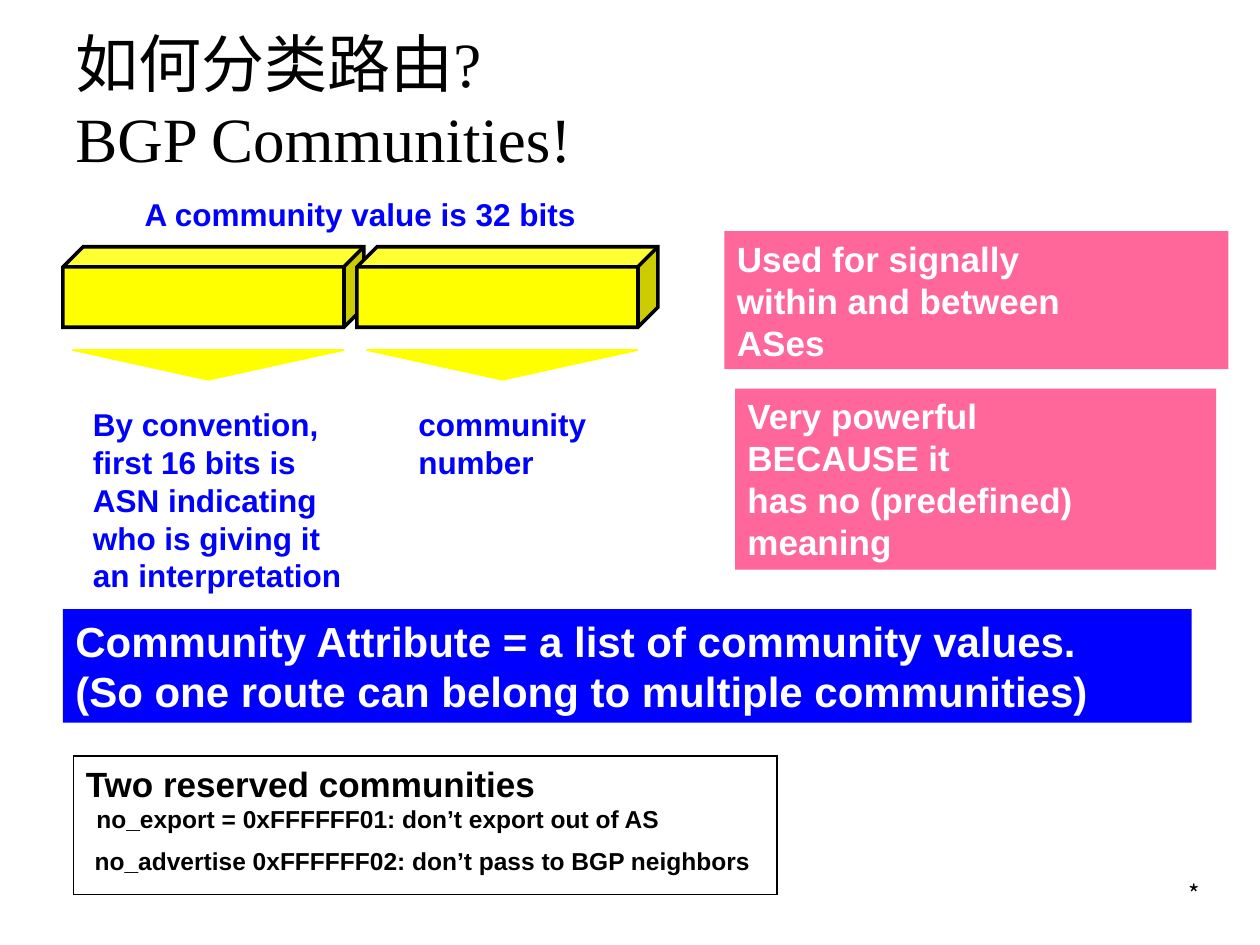
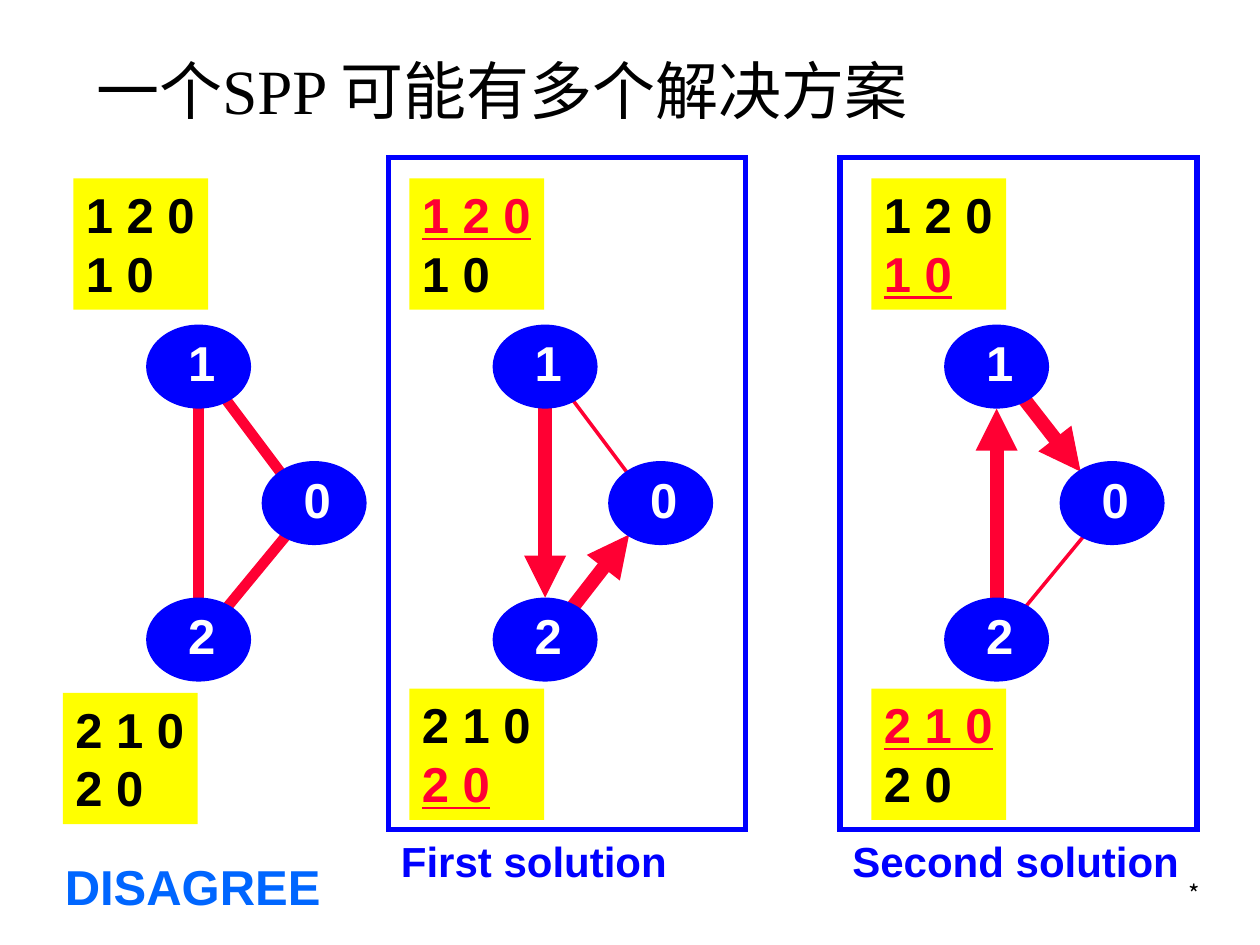
from dataclasses import dataclass

import pptx
import pptx.dml.color
import pptx.enum.shapes
import pptx.enum.text
import pptx.oxml
import pptx.oxml.ns
import pptx.presentation
import pptx.shapes.autoshape
import pptx.slide
import pptx.util

Pt = pptx.util.Pt
SHAPE = pptx.enum.shapes.MSO_SHAPE
ALIGN = pptx.enum.text.PP_ALIGN
ANCHOR = pptx.enum.text.MSO_ANCHOR

BLACK, WHITE, BLUE = "000000", "FFFFFF", "0000FF"
YELLOW, PINK, RED, SKY = "FFFF00", "FF6699", "FF0033", "0066FF"
BODY_FONT, TITLE_FONT, FOOTER_FONT = "Arial", "Times New Roman", "Noto Sans CJK SC"
DRAWING_NS = pptx.oxml.ns.nsdecls("a")

Box = tuple[float, float, float, float]
Point = tuple[float, float]


@dataclass
class Label:
    box: Box
    lines: list[str]
    size: float
    color: str = BLUE
    fill: str | None = None
    outline: str | None = None
    wrap: bool = False
    font: str = BODY_FONT
    bold: bool = True
    align: ALIGN = ALIGN.LEFT
    anchor: ANCHOR = ANCHOR.TOP


@dataclass
class Edge:
    """A link between nodes, relative to the left of node 1; arrows point to its end."""
    start: Point
    end: Point
    width: float
    arrow: bool = False


@dataclass
class Ranking:
    """The paths a node prefers, best first, with the one in use marked."""
    corner: Point
    routes: list[str]
    chosen: int | None = None


@dataclass
class Graph:
    left: float
    edges: list[Edge]
    rankings: list[Ranking]
    frame_left: float | None = None
    caption: str = ""
    caption_width: float = 0


def rgb(color: str) -> pptx.dml.color.RGBColor:
    return pptx.dml.color.RGBColor.from_string(color)


def add_solid(slide: pptx.slide.Slide, kind: SHAPE, box: Box, fill: str | None,
              outline: str | None = None,
              width: float = 1) -> pptx.shapes.autoshape.Shape:
    sp = slide.shapes.add_shape(kind, *map(Pt, box))
    sp.shadow.inherit = False
    if fill:
        sp.fill.solid()
        sp.fill.fore_color.rgb = rgb(fill)
    else:
        sp.fill.background()
    if outline:
        sp.line.color.rgb = rgb(outline)
        sp.line.width = Pt(width)
        sp.line._get_or_add_ln().append(
            pptx.oxml.parse_xml(f'<a:miter {DRAWING_NS} lim="800000"/>'))
    else:
        sp.line.fill.background()
    return sp


def write(sp: pptx.shapes.autoshape.Shape, label: Label) -> None:
    tf = sp.text_frame
    tf.word_wrap = label.wrap
    tf.vertical_anchor = label.anchor
    for i, line in enumerate(label.lines):
        p = tf.paragraphs[0] if i == 0 else tf.add_paragraph()
        p.text = line
        p.alignment = label.align
        p.font.name = label.font
        p.font.size = Pt(label.size)
        p.font.bold = label.bold
        p.font.color.rgb = rgb(label.color)


def add_label(slide: pptx.slide.Slide, label: Label) -> pptx.shapes.autoshape.Shape:
    if label.fill or label.outline:
        sp = add_solid(slide, SHAPE.RECTANGLE, label.box, label.fill, label.outline, 0.75)
    else:
        sp = slide.shapes.add_textbox(*map(Pt, label.box))
    write(sp, label)
    return sp


def add_slide(prs: pptx.presentation.Presentation, title: str,
              title_box: Box) -> pptx.slide.Slide:
    slide = prs.slides.add_slide(prs.slide_layouts[6])
    add_label(slide, Label((651, 499, 42, 24), ["*"], 14, BLACK, wrap=True,
                           font=FOOTER_FONT, bold=False, align=ALIGN.RIGHT))
    add_label(slide, Label(title_box, [title], 36, BLACK, wrap=True, font=TITLE_FONT,
                           bold=False, anchor=ANCHOR.MIDDLE))
    return slide


def add_edge(slide: pptx.slide.Slide, left: float, edge: Edge) -> None:
    (x1, y1), (x2, y2) = edge.start, edge.end
    line = slide.shapes.add_connector(
        pptx.enum.shapes.MSO_CONNECTOR.STRAIGHT,
        Pt(left + x1), Pt(y1), Pt(left + x2), Pt(y2))
    line.line.color.rgb = rgb(RED)
    line.line.width = Pt(edge.width)
    if edge.arrow:
        line.line._get_or_add_ln().append(
            pptx.oxml.parse_xml(f'<a:tailEnd {DRAWING_NS} type="triangle"/>'))
    line._element.spPr.append(pptx.oxml.parse_xml(f'<a:effectLst {DRAWING_NS}/>'))


def add_node(slide: pptx.slide.Slide, name: str, x: float, y: float) -> None:
    box = (x, y, 59, 47)
    sp = add_solid(slide, SHAPE.OVAL, box, BLUE, BLUE)
    write(sp, Label(box, [name], 28, WHITE, align=ALIGN.CENTER, anchor=ANCHOR.MIDDLE))
    tf = sp.text_frame
    tf.margin_left, tf.margin_right = Pt(3.5), Pt(0)
    tf.margin_top, tf.margin_bottom = Pt(0), Pt(5)


def add_ranking(slide: pptx.slide.Slide, ranking: Ranking) -> None:
    sp = add_label(slide, Label((*ranking.corner, 77, 75), ranking.routes, 28, BLACK, YELLOW))
    if ranking.chosen is not None:
        p = sp.text_frame.paragraphs[ranking.chosen]
        p.font.color.rgb = rgb(RED)
        p.font.underline = True


def add_graph(slide: pptx.slide.Slide, graph: Graph) -> None:
    if graph.frame_left is not None:
        add_solid(slide, SHAPE.RECTANGLE, (graph.frame_left, 90, 204, 384), WHITE, BLUE, 3)
        add_label(slide, Label((graph.frame_left, 474, graph.caption_width, 36),
                               [graph.caption], 24))
    for edge in graph.edges:
        add_edge(slide, graph.left, edge)
    for name, dx, y in (("1", 0, 186), ("0", 66, 264), ("2", 0, 342)):
        add_node(slide, name, graph.left + dx, y)
    for ranking in graph.rankings:
        add_ranking(slide, ranking)


def build_communities(prs: pptx.presentation.Presentation) -> None:
    slide = add_slide(prs, "如何分类路由?\nBGP Communities!", (36, 12, 612, 90))
    for half in range(2):
        shift = 168 * half
        add_solid(slide, SHAPE.CUBE, (36 + shift, 141, 172, 46), YELLOW, BLACK, 2)
        pointer = add_solid(slide, SHAPE.ISOSCELES_TRIANGLE,
                            (41.5 + shift, 200, 155, 17), YELLOW, YELLOW)
        pointer.rotation = 180
    labels = [
        Label((75.5, 108, 264, 29), ["A community value is 32 bits"], 18),
        Label((46, 228, 160, 115),
              ["By convention,", "first 16 bits is", "ASN indicating",
               "who is giving it", "an interpretation"], 18),
        Label((232, 228, 114, 50), ["community", "number"], 18),
        Label((420, 222, 275, 103.5),
              ["Very powerful", "BECAUSE it", "has no (predefined) meaning"],
              20, WHITE, PINK, wrap=True),
        Label((36, 348, 645, 65),
              ["Community Attribute = a list of community values.",
               "(So one route can belong to multiple communities)"],
              24, WHITE, BLUE, wrap=True),
        Label((414, 132, 288, 79), ["Used for signally", "within and between", "ASes"],
              20, WHITE, PINK, wrap=True),
        Label((42, 432, 402, 79), ["Two reserved communities"], 20, BLACK,
              outline=BLACK, wrap=True),
        Label((47, 480, 393, 24),
              ["no_advertise 0xFFFFFF02: don’t pass to BGP neighbors"], 14, BLACK),
        Label((48, 456, 432, 24),
              ["no_export = 0xFFFFFF01: don’t export out of AS"], 14, BLACK, wrap=True),
    ]
    for label in labels:
        add_label(slide, label)


def build_solutions(prs: pptx.presentation.Presentation) -> None:
    slide = add_slide(prs, "一个SPP 可能有多个解决方案", (48, 24, 612, 54))
    one_down, two_up = (29.5, 222), (29.5, 353.5)
    one_side, two_side = (35.5, 215.5), (35.5, 359.5)
    zero_top, zero_bottom = (89.5, 287.5), (89.5, 294)
    one_routes, two_routes = ["1 2 0", "1 0"], ["2 1 0", "2 0"]
    graphs = [
        Graph(84,
              [Edge(one_down, two_up, 6), Edge(one_side, zero_top, 6),
               Edge(zero_bottom, two_side, 6)],
              [Ranking((42, 102), one_routes), Ranking((36, 396), two_routes)]),
        Graph(282,
              [Edge(one_down, (29.5, 341.5), 8, True), Edge(one_side, zero_top, 2),
               Edge(two_side, (77.5, 305.5), 8, True)],
              [Ranking((234, 102), one_routes, 0), Ranking((234, 393.5), two_routes, 1)],
              222, "First solution", 170),
        Graph(540,
              [Edge(two_up, (29.5, 233.5), 8, True),
               Edge(one_side, (77.5, 269.5), 8, True), Edge(zero_bottom, two_side, 2)],
              [Ranking((498, 102), one_routes, 1), Ranking((498, 393.5), two_routes, 0)],
              480, "Second solution", 204),
    ]
    for graph in graphs:
        add_graph(slide, graph)
    add_label(slide, Label((30, 486, 163, 41), ["DISAGREE"], 28, SKY))


def main() -> None:
    prs = pptx.Presentation()
    prs.slide_width, prs.slide_height = Pt(720), Pt(540)
    build_communities(prs)
    build_solutions(prs)
    prs.save("out.pptx")


if __name__ == "__main__":
    main()
